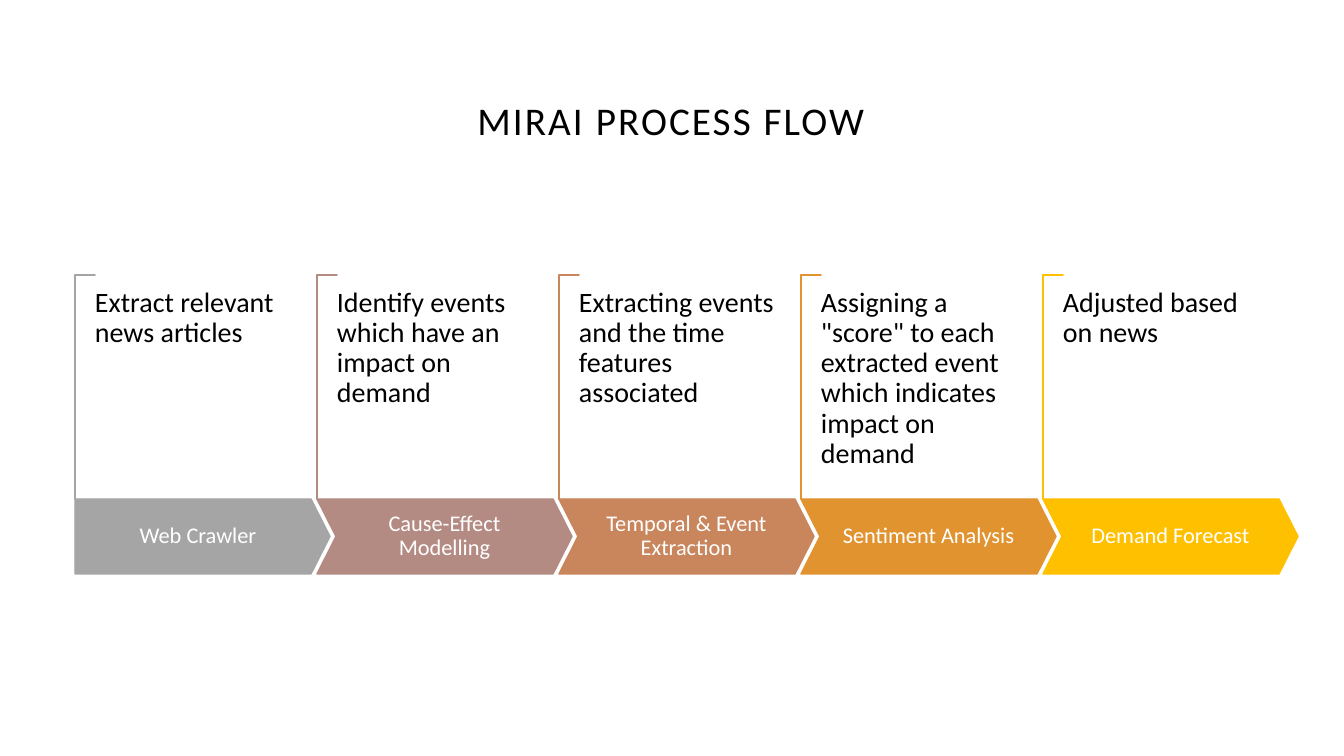
from pptx import Presentation
from pptx.dml.color import RGBColor
from pptx.enum.shapes import MSO_SHAPE as SHAPE
from pptx.enum.text import MSO_ANCHOR as ANCHOR, MSO_AUTO_SIZE as AUTO, PP_ALIGN as ALIGN
from pptx.util import Pt

PX = 914400 / 100.8
FONT = "Calibri"
COLORS = {
    "white": "FFFFFF", "black": "000000", "grey": "A5A5A5", "rose": "B48B83",
    "copper": "C9855C", "orange": "E19330", "gold": "FFC000",
}
STEPS = [
    ("Web Crawler", "Extract relevant news articles", "grey"),
    ("Cause-Effect Modelling", "Identify events which have an impact on demand", "rose"),
    ("Temporal & Event Extraction",
     "Extracting events and the time features associated", "copper"),
    ("Sentiment Analysis",
     'Assigning a "score" to each extracted event which indicates impact on demand', "orange"),
    ("Demand Forecast", "Adjusted based on news", "gold"),
]
PITCH, ARROW_W, ARROW_H, TIP = 242, 255, 75, 19
BRACKET_W, BRACKET_H = 20, 224


def px(*lengths):
    return [round(n * PX) for n in lengths]


def rgb(name):
    return RGBColor.from_string(COLORS[name])


def paint(sp, fill, line=None):
    sp.shadow.inherit = False
    sp.fill.solid()
    sp.fill.fore_color.rgb = rgb(fill)
    if line:
        sp.line.color.rgb = rgb(line)
        sp.line.width = Pt(1)
    else:
        sp.line.fill.background()


def write(sp, text, size, color, align, anchor, insets):
    tf = sp.text_frame
    tf.word_wrap = True
    tf.auto_size = AUTO.NONE
    tf.vertical_anchor = anchor
    tf.margin_left, tf.margin_top, tf.margin_right, tf.margin_bottom = px(*insets)
    p = tf.paragraphs[0]
    p.alignment = align
    p.line_spacing = 0.9
    r = p.add_run()
    r.text = text
    r.font.name = FONT
    r.font.size = Pt(size)
    r.font.color.rgb = rgb(color)
    return r


def add_title(s, x, y, w, h):
    sp = s.shapes.title
    sp.left, sp.top, sp.width, sp.height = px(x, y, w, h)
    r = write(sp, "MIRAI PROCESS FLOW", 28, "black", ALIGN.CENTER, ANCHOR.BOTTOM, (10, 5, 10, 5))
    r.font._element.set("spc", "150")


def add_bracket(s, x, y, w, h, color):
    # The corner is turned a quarter, so its own width is the height seen
    left, top = x + (w - h) / 2, y + (h - w) / 2
    sp = s.shapes.add_shape(SHAPE.CORNER, *px(left, top, h, w))
    sp.rotation = 90
    sp.adjustments[0] = sp.adjustments[1] = 0.01
    paint(sp, "white", color)


def add_arrow(s, x, y, w, h, label, color, first):
    points = [(x + w - TIP, y), (x + w, y + h / 2), (x + w - TIP, y + h), (x, y + h)]
    if not first:
        points.append((x + TIP, y + h / 2))
    builder = s.shapes.build_freeform(*px(x, y), scale=1.0)
    builder.add_line_segments([px(*point) for point in points], close=True)
    sp = builder.convert_to_shape()
    paint(sp, color, color)
    insets = (11, 22, 20, 22) if first else (30, 22, 30, 22)
    write(sp, label, 16, "white", ALIGN.CENTER, ANCHOR.MIDDLE, insets)


def add_description(s, x, y, w, h, text):
    sp = s.shapes.add_textbox(*px(x, y, w, h))
    paint(sp, "white")
    write(sp, text, 20, "black", ALIGN.LEFT, ANCHOR.TOP, (0, 0, 0, 0))


def add_process(s, x, y):
    for i, (label, text, color) in enumerate(STEPS):
        left = x + i * PITCH
        add_bracket(s, left, y, BRACKET_W, BRACKET_H, color)
        add_arrow(s, left, y + BRACKET_H, ARROW_W, ARROW_H, label, color, i == 0)
        add_description(s, left + BRACKET_W, y + 13, 207, 199, text)


def main():
    prs = Presentation()
    prs.slide_width, prs.slide_height = px(1344, 756)
    s = prs.slides.add_slide(prs.slide_layouts[5])
    add_title(s, 45, 57, 1252, 92)
    add_process(s, 75, 275)
    prs.save("out.pptx")


if __name__ == "__main__":
    main()
